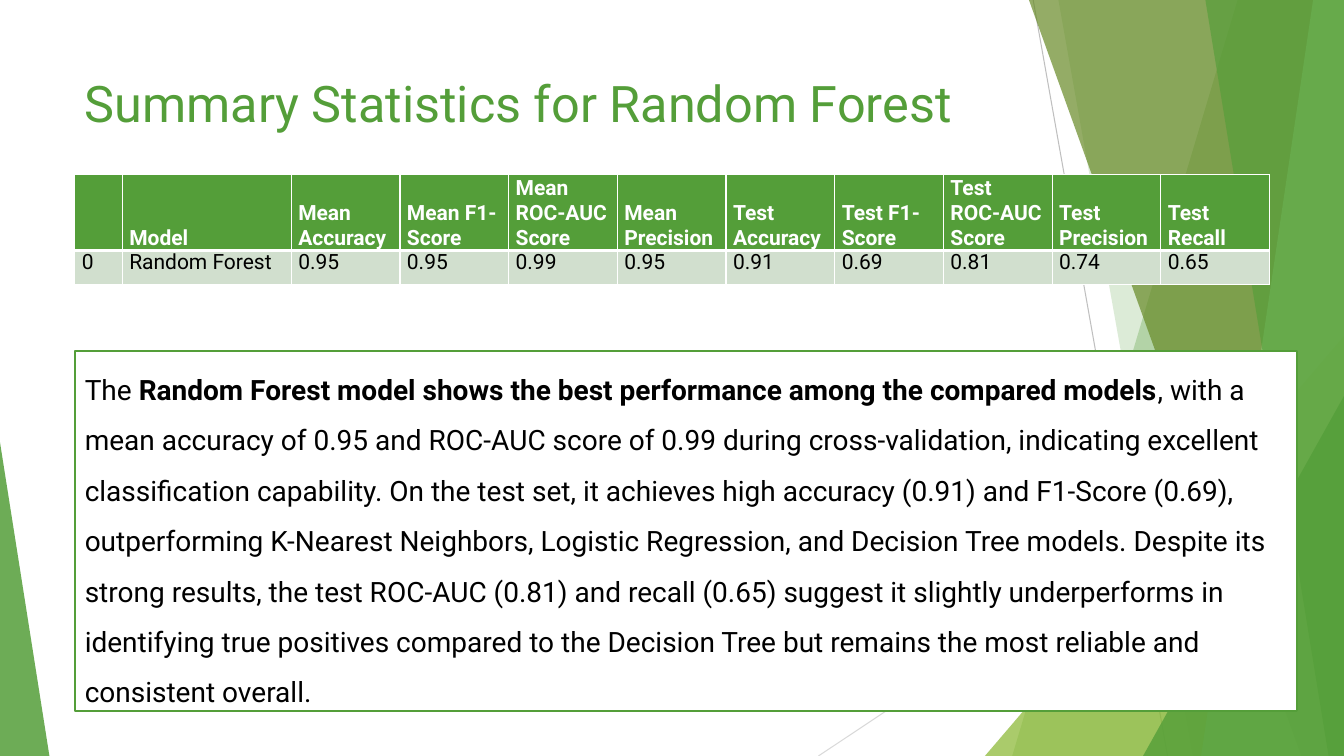
from dataclasses import dataclass

from lxml.etree import SubElement
from pptx import Presentation
from pptx.dml.color import RGBColor
from pptx.enum.shapes import MSO_CONNECTOR, MSO_SHAPE
from pptx.enum.text import MSO_ANCHOR, MSO_AUTO_SIZE, PP_ALIGN
from pptx.oxml import parse_xml
from pptx.oxml.ns import nsdecls, qn
from pptx.util import Pt


@dataclass(frozen=True)
class Theme:
    font: str = "Roboto"
    green: str = "549E39"
    lime: str = "8AB833"
    olive: str = "678A26"
    mint: str = "93D07D"
    pale: str = "D1DFCE"
    white: str = "FFFFFF"
    black: str = "000000"
    dark_grey: str = "BFBFBF"
    light_grey: str = "D9D9D9"
    title_size: float = 36
    body_size: float = 20
    table_size: float = 15


WIDTH, HEIGHT = 960, 540
THEME = Theme()

# start, end, colour
RAYS = [
    ((738, 0), (834, HEIGHT), THEME.dark_grey),
    ((WIDTH, 290), (584.6, HEIGHT), THEME.light_grey),
]
# x at the top, x at the bottom, colour, opacity in percent
BACK_PANELS = [(884, 723, THEME.green, 30), (756, 852, THEME.green, 20)]
FRONT_PANELS = [
    (735, 929.5, THEME.olive, 70),
    (938, 858, THEME.mint, 70),
    (861, 949, THEME.green, 65),
]
# box, apex position, colour, opacity in percent
LIME_WEDGE = ((703.5, 240, 256.5, 300), 1, THEME.lime, 72)
SIDE_WEDGES = [
    ((816.5, 283, 143.5, 257), 1, THEME.green, 80),
    ((0, 316, 35.3, 224), 0, THEME.green, 85),
]

HEADERS = ["", "Model", "Mean Accuracy", "Mean F1-Score", "Mean ROC-AUC Score",
           "Mean Precision", "Test Accuracy", "Test F1-Score",
           "Test ROC-AUC Score", "Test Precision", "Test Recall"]
RESULTS = ["0", "Random Forest", "0.95", "0.95", "0.99", "0.95",
           "0.91", "0.69", "0.81", "0.74", "0.65"]
COLUMN_WIDTHS = [33.9, 120.7] + [77.65] * 9
ROW_HEIGHTS = [48.2, 24.5]

SUMMARY = [
    ("The ", False),
    ("Random Forest model shows the best performance among the compared models",
     True),
    (", with a mean accuracy of 0.95 and ROC-AUC score of 0.99 during "
     "cross-validation, indicating excellent classification capability. On the "
     "test set, it achieves high accuracy (0.91) and F1-Score (0.69), "
     "outperforming K-Nearest Neighbors, Logistic Regression, and Decision Tree "
     "models. Despite its strong results, the test ROC-AUC (0.81) and recall "
     "(0.65) suggest it slightly underperforms in identifying true positives "
     "compared to the Decision Tree but remains the most reliable and "
     "consistent overall.", False),
]


def points(values):
    return [Pt(value) for value in values]


def apply_format(target, values):
    for name, value in values.items():
        setattr(target, name, value)


class SlideBuilder:
    def __init__(self, slide, theme):
        self.shapes = slide.shapes
        self.theme = theme

    def paint(self, shape, color, opacity=100, outline=None):
        shape.shadow.inherit = False
        shape.fill.solid()
        shape.fill.fore_color.rgb = RGBColor.from_string(color)
        if opacity < 100:
            srgb = shape._element.spPr.find(".//" + qn("a:srgbClr"))
            SubElement(srgb, qn("a:alpha"), val=str(opacity * 1000))
        if outline:
            shape.line.color.rgb = RGBColor.from_string(outline)
            shape.line.width = Pt(1.5)
        else:
            shape.line.fill.background()

    def line(self, start, end, color):
        connector = self.shapes.add_connector(
            MSO_CONNECTOR.STRAIGHT, *points(start + end))
        connector.line.color.rgb = RGBColor.from_string(color)
        connector.line.width = Pt(0.75)
        SubElement(connector._element.spPr, qn("a:effectLst"))

    def panel(self, top_x, bottom_x, color, opacity):
        """Draw a full-height panel from a slanted left edge to the slide edge."""
        builder = self.shapes.build_freeform(Pt(top_x), 0)
        corners = [(WIDTH, 0), (WIDTH, HEIGHT), (bottom_x, HEIGHT)]
        builder.add_line_segments([points(corner) for corner in corners])
        self.paint(builder.convert_to_shape(), color, opacity)

    def wedge(self, box, apex, color, opacity):
        shape = self.shapes.add_shape(MSO_SHAPE.ISOSCELES_TRIANGLE, *points(box))
        shape.adjustments[0] = apex
        self.paint(shape, color, opacity)

    def add_runs(self, paragraph, runs, size, color, **spacing):
        apply_format(paragraph, {"alignment": PP_ALIGN.LEFT, **spacing})
        for text, bold in runs:
            run = paragraph.add_run()
            run.text = text
            apply_format(run.font, {
                "name": self.theme.font, "size": Pt(size), "bold": bold})
            run.font.color.rgb = RGBColor.from_string(color)

    def title(self, text, box):
        frame = self.shapes.add_textbox(*points(box)).text_frame
        apply_format(frame, {"word_wrap": True, "vertical_anchor": MSO_ANCHOR.TOP})
        self.add_runs(frame.paragraphs[0], [(text, False)],
                      self.theme.title_size, self.theme.green)

    def text_panel(self, runs, box):
        shape = self.shapes.add_shape(MSO_SHAPE.RECTANGLE, *points(box))
        self.paint(shape, self.theme.white, outline=self.theme.green)
        apply_format(shape.text_frame, {
            "word_wrap": True, "vertical_anchor": MSO_ANCHOR.TOP,
            "auto_size": MSO_AUTO_SIZE.SHAPE_TO_FIT_TEXT})
        self.add_runs(shape.text_frame.paragraphs[0], runs, self.theme.body_size,
                      self.theme.black, line_spacing=1.5, space_after=Pt(9))

    def border(self, cell, bottom_width):
        widths = {"lnL": 1, "lnR": 1, "lnT": 1, "lnB": bottom_width}
        properties = cell._tc.get_or_add_tcPr()
        for position, (edge, width) in enumerate(widths.items()):
            properties.insert(position, parse_xml(
                f'<a:{edge} {nsdecls("a")} w="{Pt(width)}"><a:solidFill>'
                f'<a:srgbClr val="{self.theme.white}"/></a:solidFill></a:{edge}>'))

    def cell(self, cell, text, is_header):
        theme = self.theme
        apply_format(cell, {
            "margin_left": Pt(5), "margin_right": Pt(5),
            "margin_top": 0, "margin_bottom": 0,
            "vertical_anchor": MSO_ANCHOR.BOTTOM if is_header else MSO_ANCHOR.TOP})
        cell.fill.solid()
        cell.fill.fore_color.rgb = RGBColor.from_string(
            theme.green if is_header else theme.pale)
        self.border(cell, 3 if is_header else 1)
        self.add_runs(cell.text_frame.paragraphs[0],
                      [(text, is_header)] if text else [], theme.table_size,
                      theme.white if is_header else theme.black,
                      space_after=Pt(1.8))

    def table(self, rows, left, top):
        size = (sum(COLUMN_WIDTHS), sum(ROW_HEIGHTS))
        table = self.shapes.add_table(
            len(rows), len(COLUMN_WIDTHS), *points((left, top) + size)).table
        for column, width in zip(table.columns, COLUMN_WIDTHS):
            column.width = Pt(width)
        for index, (row, height) in enumerate(zip(table.rows, ROW_HEIGHTS)):
            row.height = Pt(height)
            for cell, text in zip(row.cells, rows[index]):
                self.cell(cell, text, is_header=index == 0)


def main():
    presentation = Presentation()
    apply_format(presentation, {
        "slide_width": Pt(WIDTH), "slide_height": Pt(HEIGHT)})
    slide = presentation.slides.add_slide(presentation.slide_layouts[6])
    builder = SlideBuilder(slide, THEME)

    for ray in RAYS:
        builder.line(*ray)
    for panel in BACK_PANELS:
        builder.panel(*panel)
    builder.wedge(*LIME_WEDGE)
    for panel in FRONT_PANELS:
        builder.panel(*panel)
    for wedge in SIDE_WEDGES:
        builder.wedge(*wedge)

    builder.title("Summary Statistics for Random Forest", (53.5, 48, 677, 104))
    builder.table([HEADERS, RESULTS], 53.5, 124.8)
    builder.text_panel(SUMMARY, (53.5, 250.6, 873, 257.6))
    presentation.save("out.pptx")


if __name__ == "__main__":
    main()
